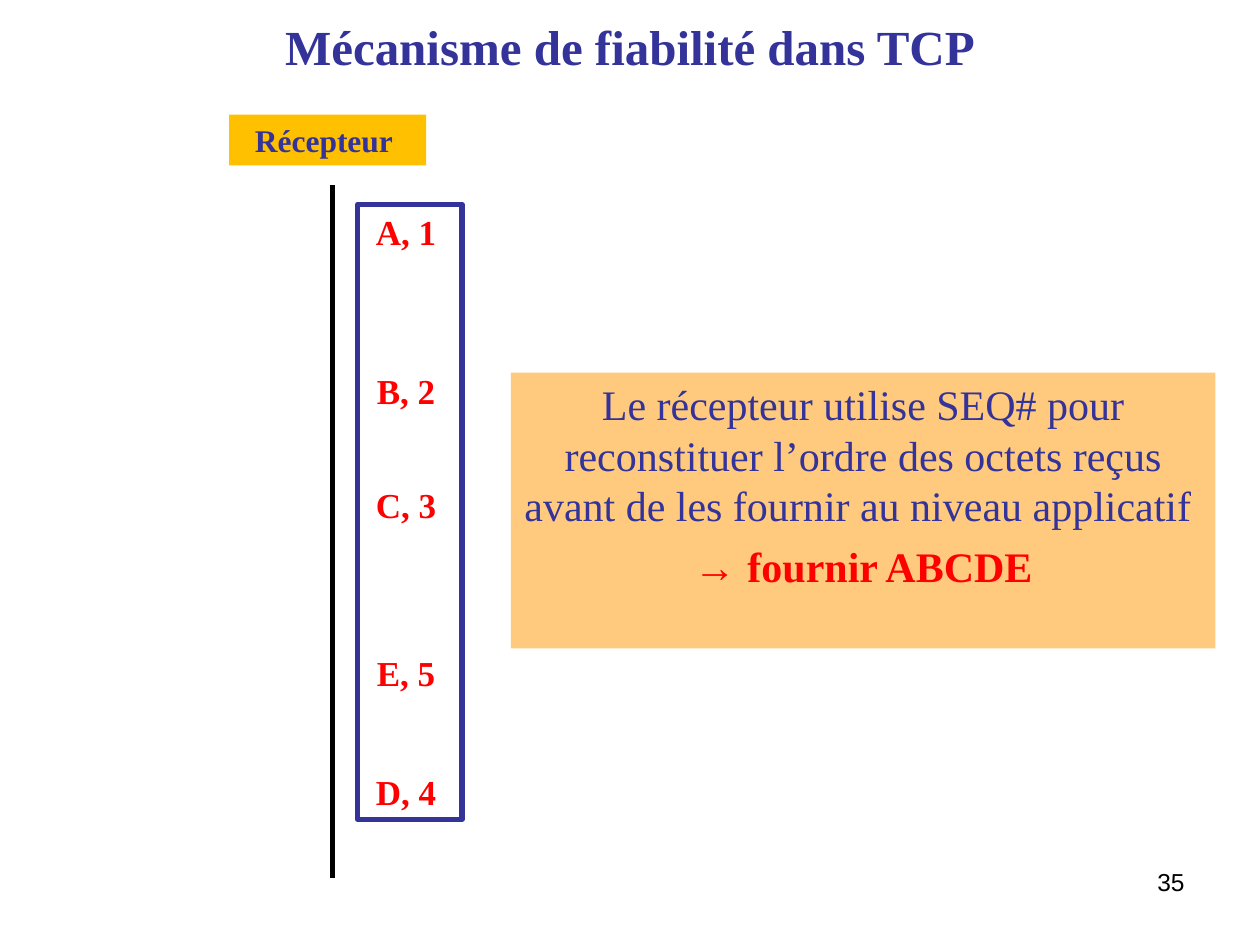
"""Build the slide on how the receiver puts TCP segments back in order."""
from pptx import Presentation
from pptx.dml.color import RGBColor as Rgb
from pptx.enum.shapes import MSO_CONNECTOR as Conn, MSO_SHAPE as Form
from pptx.enum.text import MSO_ANCHOR as Anchor, PP_ALIGN as Align
from pptx.util import Pt
from lxml.etree import SubElement

INK = {"navy": "333399", "red": "FF0000", "black": "000000",
       "gold": "FFC000", "peach": "FFCA7D"}
SERIF, SANS = "Times New Roman", "Arial"


def tint(name):
    return Rgb.from_string(INK[name])


def write(text, para, size=24, color="navy", bold=False, font=SERIF, align=Align.CENTER):
    para.alignment = align
    run = para.add_run()
    run.text = text
    run.font.size, run.font.name, run.font.bold = Pt(size), font, bold
    run.font.color.rgb = tint(color)


deck = Presentation()
deck.slide_width, deck.slide_height = Pt(720), Pt(540)
slide = deck.slides.add_slide(deck.slide_layouts[6])
shapes = slide.shapes

axis = shapes.add_connector(Conn.STRAIGHT, Pt(190), Pt(106), Pt(190), Pt(502))
axis.line.color.rgb, axis.line.width = tint("black"), Pt(3)
props = axis.element.spPr
SubElement(props, "{http://schemas.openxmlformats.org/drawingml/2006/main}effectLst")

rects = {}
for name, left, top, width, height, fill in [
    ("host", 131, 65.5, 112.5, 29, "gold"),
    ("note", 292, 213, 402.5, 157.5, "peach"),
    ("buffer", 204.5, 116.75, 59.5, 351.5, None),
]:
    rect = shapes.add_shape(Form.RECTANGLE, Pt(left), Pt(top), Pt(width), Pt(height))
    rect.shadow.inherit = False
    if fill:
        rect.fill.solid()
        rect.fill.fore_color.rgb = tint(fill)
        rect.line.fill.background()
    else:
        rect.fill.background()
        rect.line.color.rgb, rect.line.width = tint("navy"), Pt(3)
    rect.text_frame.vertical_anchor = Anchor.TOP
    rect.text_frame.word_wrap = name != "host"
    rects[name] = rect.text_frame

write("Récepteur ", rects["host"].paragraphs[0], size=18, bold=True)

note = rects["note"]
write("Le récepteur utilise SEQ# pour reconstituer l’ordre des octets reçus "
      "avant de les fournir au niveau applicatif ", note.paragraphs[0])
last = note.add_paragraph()
last.space_before = Pt(6)
write("→ ", last, color="red", font=SANS)
write("fournir ABCDE", last, color="red", bold=True)

labels = [
    ("Mécanisme de fiabilité dans TCP", 36, 10, 648, 33, {"size": 28, "bold": True}),
    ("35", 516, 492, 168, 37, {"size": 14, "color": "black", "font": SANS,
                               "align": Align.RIGHT}),
]
for text, top in [("A, 1", 116.75), ("B, 2", 207.5), ("C, 3", 272.5),
                  ("E, 5", 368.5), ("D, 4", 437)]:
    labels.append((text, 206.5, top, 51, 32, {"size": 20, "color": "red", "bold": True}))

for text, left, top, width, height, style in labels:
    frame = shapes.add_textbox(Pt(left), Pt(top), Pt(width), Pt(height)).text_frame
    frame.word_wrap = True
    if top == 10:
        frame.vertical_anchor = Anchor.MIDDLE
    write(text, frame.paragraphs[0], **style)

deck.save("out.pptx")
